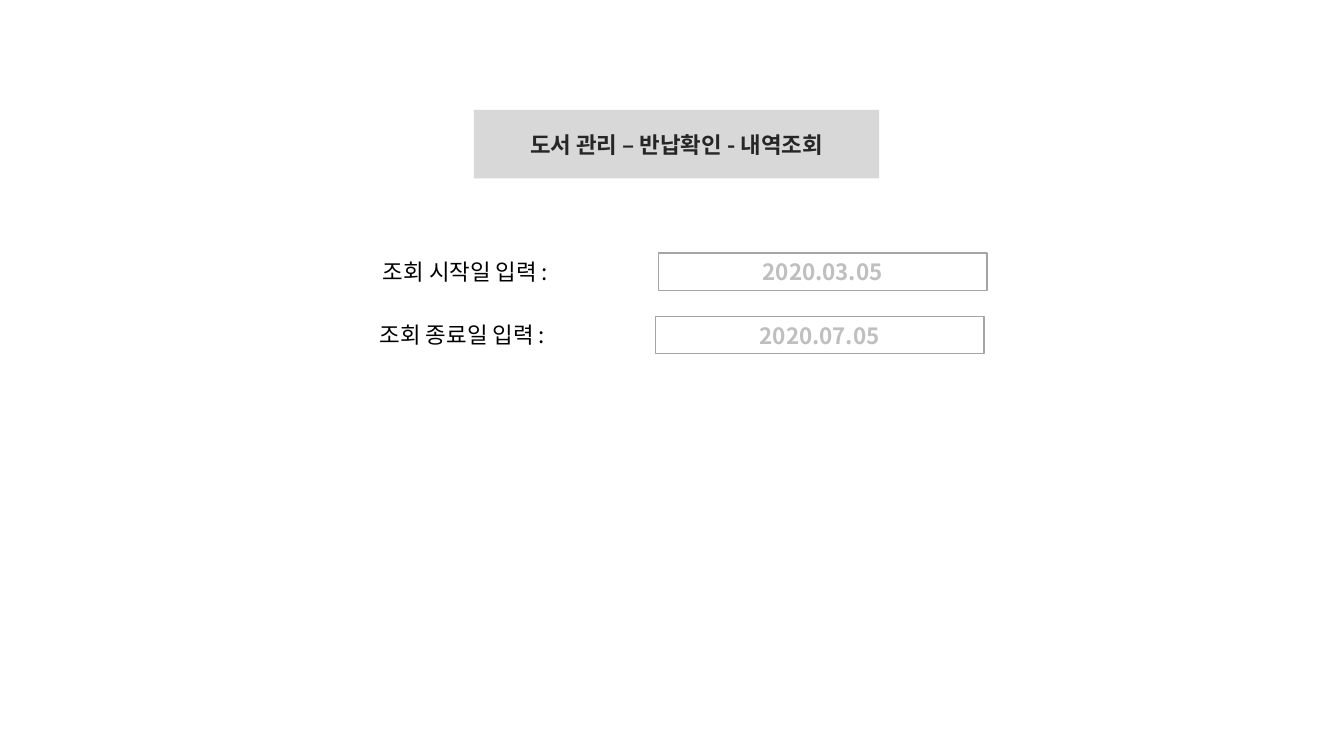
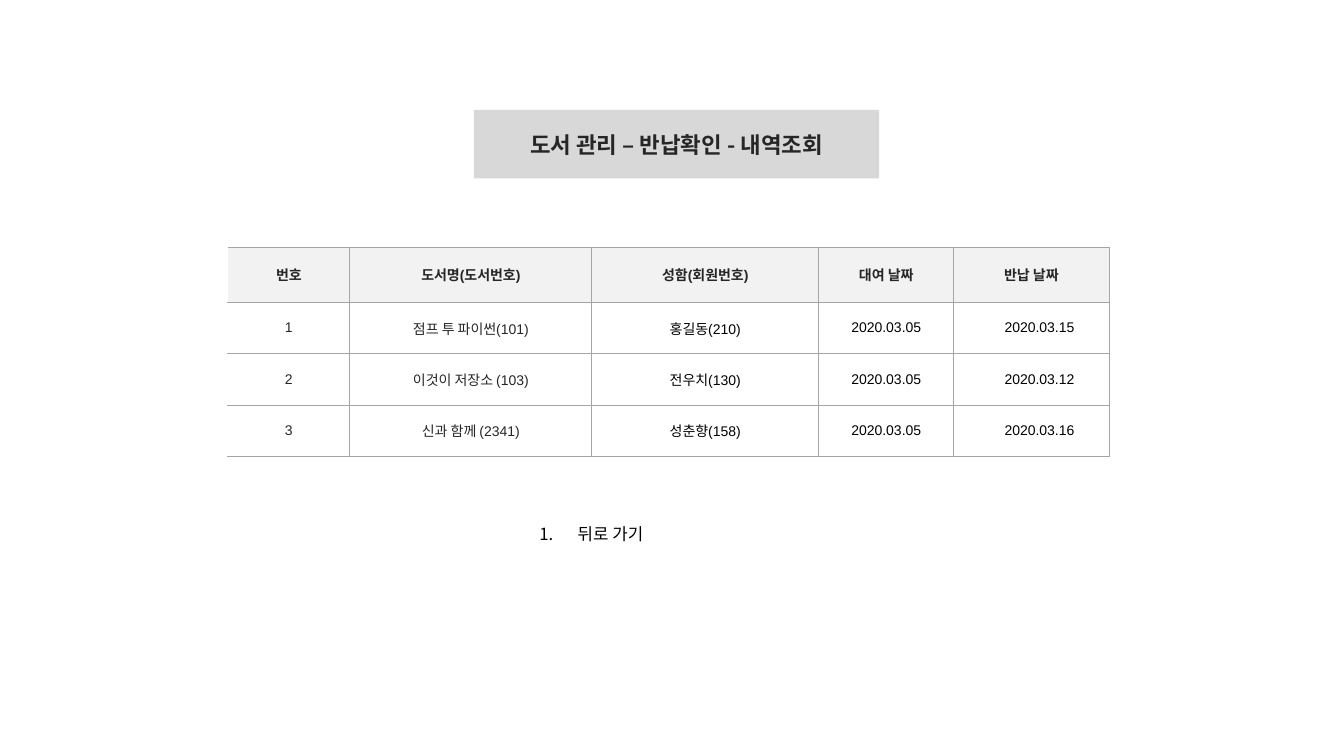
from lxml.etree import SubElement
from pptx import Presentation
from pptx.dml.color import RGBColor
from pptx.enum.shapes import MSO_SHAPE
from pptx.enum.text import MSO_ANCHOR, MSO_AUTO_SIZE, PP_ALIGN
from pptx.oxml.ns import qn
from pptx.util import Inches, Pt

SANS = "Noto Sans CJK KR"
ARIAL = "Arial"
BLACK, DARK, PALE = "000000", "262626", "BFBFBF"
WHITE, LIGHT, BAND, EDGE = "FFFFFF", "F2F2F2", "D8D8D8", "A5A5A5"
TITLE = "도서 관리 – 반납확인 - 내역조회"
DATES = [
    ("조회 시작일 입력 :", "2020.03.05", 3.7, 2.51),
    ("조회 종료일 입력 :", "2020.07.05", 3.67, 3.14),
]
COLS = [1.21, 2.4, 2.25, 1.34, 1.54]
LOANS = [
    ["번호", "도서명(도서번호)", "성함(회원번호)", "대여 날짜", "반납 날짜"],
    ["1", "점프 투 파이썬(101)", "홍길동(210)", "2020.03.05", "2020.03.15"],
    ["2", "이것이 저장소 (103)", "전우치(130)", "2020.03.05", "2020.03.12"],
    ["3", "신과 함께 (2341)", "성춘향(158)", "2020.03.05", "2020.03.16"],
]


def color(code):
    return RGBColor.from_string(code)


def paint(part, code):
    part.fill.solid()
    part.fill.fore_color.rgb = color(code)


def place(shape, left, top, width, height):
    shape.left, shape.top = Inches(left), Inches(top)
    shape.width, shape.height = Inches(width), Inches(height)


def write(frame, text, size, code, bold=False, font=SANS, align=PP_ALIGN.CENTER):
    frame.text = text
    frame.word_wrap = True
    line = frame.paragraphs[0]
    line.alignment = align
    for run in line.runs:
        run.font.size = Pt(size)
        run.font.bold = bold
        run.font.name = font
        run.font.color.rgb = color(code)
        SubElement(run.font._element, qn("a:ea"), typeface=SANS)
    return line


def add_page(deck, layout):
    slide = deck.slides.add_slide(deck.slide_layouts[layout])
    title = slide.shapes.title
    place(title, 4.7, 1.09, 4.02, 0.68)
    paint(title, BAND)
    write(title.text_frame, TITLE, 16, DARK, True)
    title.text_frame.auto_size = MSO_AUTO_SIZE.NONE
    title.text_frame.vertical_anchor = MSO_ANCHOR.MIDDLE
    return slide


def add_field(slide, label, value, left, top):
    name = slide.shapes.add_textbox(Inches(left), Inches(top), Inches(2.14), Inches(0.37))
    write(name.text_frame, label, 16, BLACK, align=PP_ALIGN.LEFT)
    box = slide.shapes.add_shape(
        MSO_SHAPE.RECTANGLE, Inches(left + 2.83), Inches(top), Inches(3.26), Inches(0.37))
    box.shadow.inherit = False
    paint(box, WHITE)
    box.line.color.rgb = color(EDGE)
    box.line.width = Pt(1)
    write(box.text_frame, value, 16, PALE, True)
    box.text_frame.vertical_anchor = MSO_ANCHOR.MIDDLE


def add_edges(cell, sides):
    props = cell._tc.get_or_add_tcPr()
    for side in sides:
        line = SubElement(props, qn(f"a:ln{side}"), w=str(Pt(0.75)))
        fill = SubElement(line, qn("a:solidFill"))
        SubElement(fill, qn("a:srgbClr"), val=EDGE)


def add_loans(slide, left, top):
    frame = slide.shapes.add_table(
        len(LOANS), len(COLS), Inches(left), Inches(top), Inches(sum(COLS)), Inches(2.08))
    table = frame.table
    table.horz_banding = False
    for col, width in zip(table.columns, COLS):
        col.width = Inches(width)
    for r, texts in enumerate(LOANS):
        head = r == 0
        table.rows[r].height = Inches(0.55 if head else 0.51)
        for c, text in enumerate(texts):
            cell = table.cell(r, c)
            add_edges(cell, "LRTB" if c else "RTB")
            paint(cell, LIGHT if head else WHITE)
            cell.vertical_anchor = MSO_ANCHOR.MIDDLE
            cell.margin_right = cell.margin_top = cell.margin_bottom = 0
            cell.margin_left = Inches(0.16 if c == 4 and not head else 0)
            write(cell.text_frame, text, 10, DARK if head or c < 2 else BLACK, head, ARIAL)


def add_menu(slide, left, top):
    body = slide.placeholders[1]
    place(body, left, top, 1.5, 0.34)
    line = write(body.text_frame, "뒤로 가기", 12, BLACK, align=PP_ALIGN.LEFT)
    body.text_frame.auto_size = MSO_AUTO_SIZE.NONE
    line.space_before = Pt(0)
    props = line._p.get_or_add_pPr()
    props.set("marL", str(Inches(0.38)))
    props.set("indent", str(-Inches(0.38)))
    SubElement(props, qn("a:buFont"), typeface=SANS)
    SubElement(props, qn("a:buAutoNum"), type="arabicPeriod")


def main():
    deck = Presentation()
    deck.slide_width, deck.slide_height = Inches(13.33), Inches(7.5)
    search = add_page(deck, 5)
    for field in DATES:
        add_field(search, *field)
    result = add_page(deck, 1)
    add_loans(result, 2.26, 2.45)
    add_menu(result, 5.25, 5.15)
    deck.save("out.pptx")


if __name__ == "__main__":
    main()
